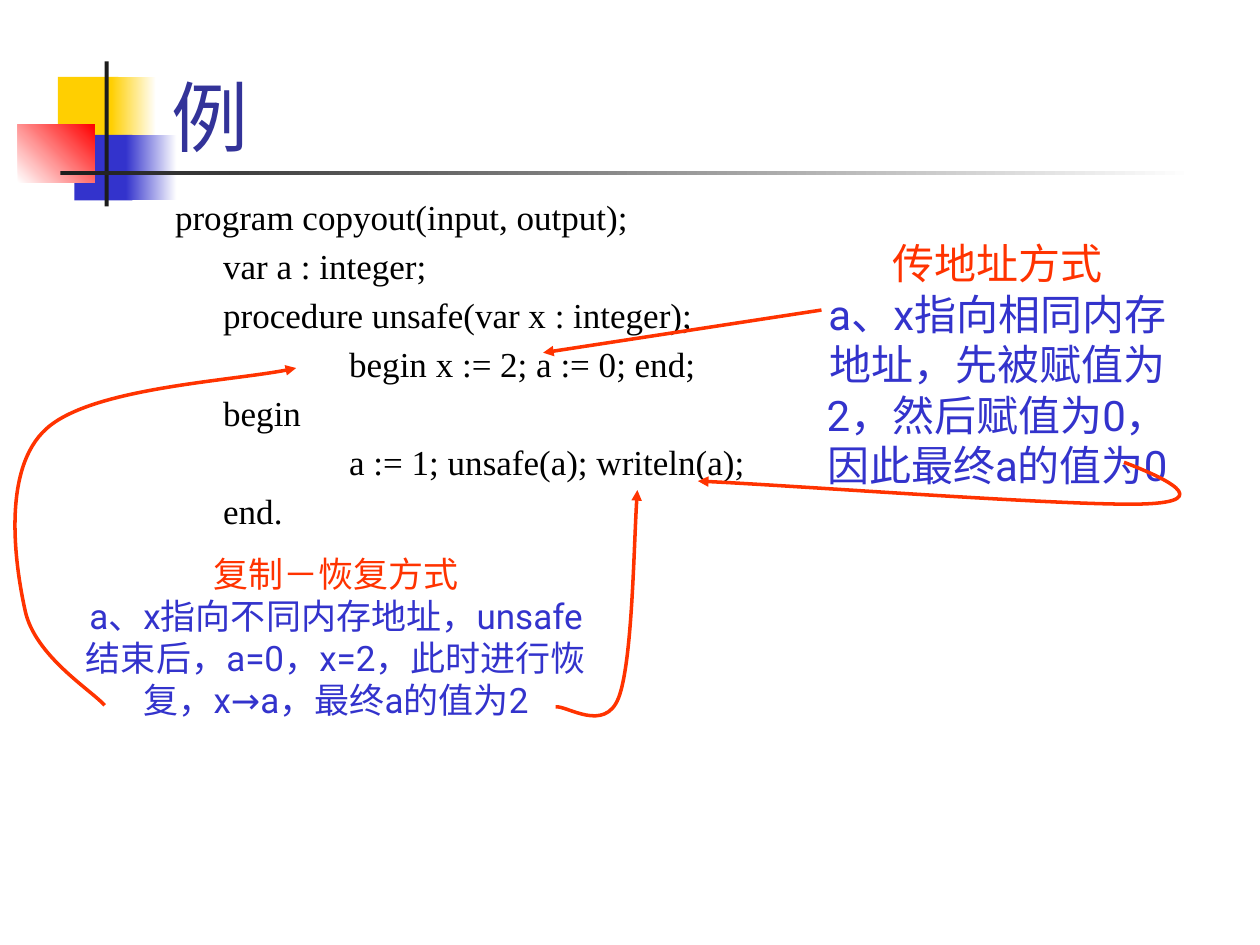
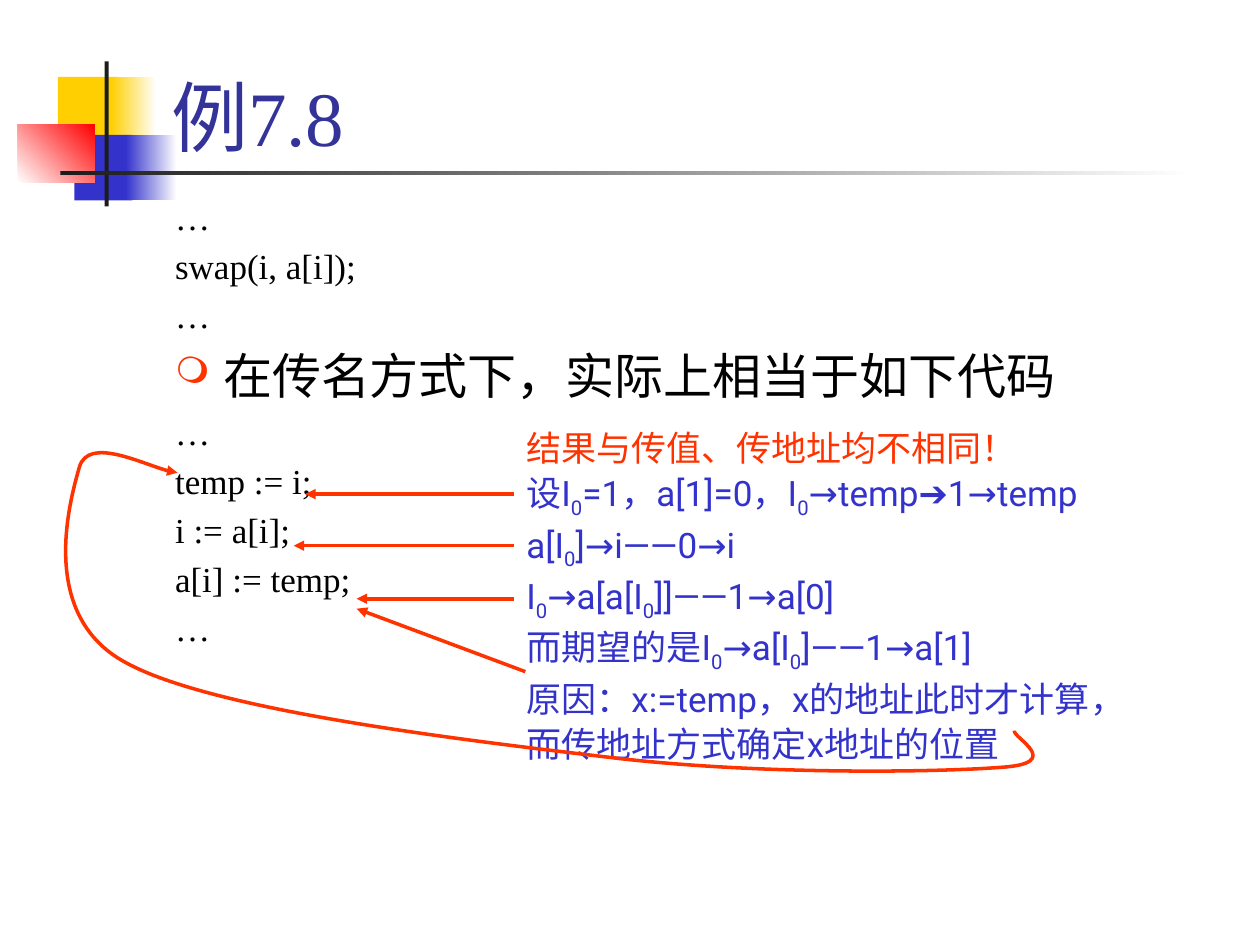
import pptx
import pptx.dml.color
import pptx.enum.shapes
import pptx.enum.text
import pptx.oxml.ns
import pptx.util
from lxml import etree

Cm, Pt = pptx.util.Cm, pptx.util.Pt
qn = pptx.oxml.ns.qn
ALIGN = pptx.enum.text.PP_ALIGN

YELLOW, BLUE, RED = "FFCF01", "3333CC", "FF0000"
WHITE, BLACK, DARK = "FFFFFF", "000000", "1C1C1C"
TITLE_BLUE, ORANGE = "333399", "FF3300"
SERIF, SANS = "Times New Roman", "Roboto"
CODE_INDENTS = [0, 0.97, 3.51]

CORNER = (0.36, 1.24)
TITLE_BOX = (3.2, 0.2, 21.64, 3.18)
BODY_BOX = (3.28, 3.81, 21.59, 13.13)


def color(value):
    return pptx.dml.color.RGBColor.from_string(value)


def style_font(font, size, name, value):
    font.size, font.name = Pt(size), name
    font.color.rgb = color(value)


def text_frame(page, box):
    frame = page.shapes.add_textbox(*map(Cm, box)).text_frame
    frame.word_wrap = True
    return frame


def add_paragraph(frame, index):
    return frame.add_paragraph() if index else frame.paragraphs[0]


# Corner squares and the two rules
def add_corner(page, left, top):
    parts = [
        (0.81, 0.31, 1.22, 1.32, [YELLOW], 0),
        (1.88, 0.31, 0.91, 1.32, [YELLOW, WHITE], 0),
        (1.14, 1.48, 1.17, 1.32, [BLUE], 0),
        (2.18, 1.48, 1.02, 1.32, [BLUE, WHITE], 0),
        (0, 1.27, 1.55, 1.17, [WHITE, RED], 45),
        (1.75, 0, 0.08, 2.92, [DARK], 0),
        (0.86, 2.21, 22.86, 0.08, [DARK, WHITE], 0),
    ]
    for x, y, width, height, colors, angle in parts:
        shape = page.shapes.add_shape(
            pptx.enum.shapes.MSO_SHAPE.RECTANGLE,
            Cm(left + x), Cm(top + y), Cm(width), Cm(height))
        shape.shadow.inherit = False
        shape.line.fill.background()
        if len(colors) == 1:
            shape.fill.solid()
            shape.fill.fore_color.rgb = color(colors[0])
            continue
        shape.fill.gradient()
        shape.fill.gradient_angle = angle
        for stop, value in zip(shape.fill.gradient_stops, colors):
            stop.color.rgb = color(value)


def add_title(page, box, title):
    frame = text_frame(page, box)
    frame.vertical_anchor = pptx.enum.text.MSO_ANCHOR.BOTTOM
    frame.text = title
    style_font(frame.paragraphs[0].font, 44, SERIF, TITLE_BLUE)


def add_bullet(properties):
    properties.set("indent", str(-Cm(CODE_INDENTS[1])))
    bullet_color = etree.SubElement(properties, qn("a:buClr"))
    etree.SubElement(bullet_color, qn("a:srgbClr"), val=ORANGE)
    etree.SubElement(properties, qn("a:buSzPct"), val="75000")
    etree.SubElement(properties, qn("a:buChar"), char="❍")


# Program text: each line is (indent level, text, bulleted)
def add_code(page, box, lines):
    frame = text_frame(page, box)
    for index, (level, text, bulleted) in enumerate(lines):
        para = add_paragraph(frame, index)
        para.text = text
        properties = para._p.get_or_add_pPr()
        properties.set("marL", str(Cm(CODE_INDENTS[level])))
        size = 28 if bulleted else 20
        if bulleted:
            add_bullet(properties)
        if index:
            para.space_before = Pt(size / 5)
        style_font(para.font, size, SERIF, BLACK)


# Note with an orange heading; "_" lowers the character after it
def add_note(page, box, lines, size, align, gap=0):
    frame = text_frame(page, box)
    for index, line in enumerate(lines):
        para = add_paragraph(frame, index)
        para.alignment = align
        if index:
            para.space_before = Pt(gap)
        style_font(para.font, size, SANS, BLUE if index else ORANGE)
        first, *lowered = line.split("_")
        para.add_run().text = first
        for piece in lowered:
            span = para.add_run()
            span.text = piece[0]
            span.font._element.set("baseline", "-25000")
            para.add_run().text = piece[1:]


def style_arrow(shape):
    shape.line.color.rgb = color(ORANGE)
    shape.line.width = Pt(2)
    etree.SubElement(shape.line._get_or_add_ln(), qn("a:tailEnd"), type="triangle")


def add_straight_arrow(page, start, end):
    arrow = page.shapes.add_connector(
        pptx.enum.shapes.MSO_CONNECTOR.STRAIGHT, *map(Cm, start + end))
    style_arrow(arrow)
    etree.SubElement(arrow._element.spPr, qn("a:effectLst"))


# Start point, then two control points and an end point for each bend
def add_curved_arrow(page, points):
    start, *rest = [(Cm(x), Cm(y)) for x, y in points]
    builder = page.shapes.build_freeform(*start)
    builder.add_line_segments(rest, close=False)
    arrow = builder.convert_to_shape()
    segments = list(arrow._element.iter(qn("a:lnTo")))
    for bend, second, third in zip(*[iter(segments)] * 3):
        bend.tag = qn("a:cubicBezTo")
        for segment in (second, third):
            bend.append(segment[0])
            segment.getparent().remove(segment)
    arrow.fill.background()
    arrow.shadow.inherit = False
    style_arrow(arrow)


def add_page(deck, title, code):
    page = deck.slides.add_slide(deck.slide_layouts[6])
    add_corner(page, *CORNER)
    add_title(page, TITLE_BOX, title)
    add_code(page, BODY_BOX, code)
    return page


def build_copyout_page(deck):
    page = add_page(deck, "例", [
        (0, "program copyout(input, output);", False),
        (1, "var a : integer;", False),
        (1, "procedure unsafe(var x : integer);", False),
        (2, "begin x := 2; a := 0; end;", False),
        (1, "begin", False),
        (2, "a := 1; unsafe(a); writeln(a);", False),
        (1, "end.", False),
    ])
    # Call by reference
    add_note(page, (16.08, 4.67, 8.05, 5.33), [
        "传地址方式",
        "a、x指向相同内存地址，先被赋值为2，然后赋值为0，因此最终a的值为0",
    ], 24, ALIGN.CENTER)
    add_straight_arrow(page, (16.56, 6.25), (10.95, 7.11))
    add_curved_arrow(page, [
        (22.66, 9.32), (23.47, 9.63), (24.51, 10.11), (23.06, 10.16),
        (21.64, 10.21), (15.95, 9.78), (14.07, 9.7)])
    # Copy and restore
    add_note(page, (1.48, 11.02, 10.59, 3.63), [
        "复制－恢复方式",
        "a、x指向不同内存地址，unsafe结束后，a=0，x=2，此时进行恢复，x→a，最终a的值为2",
    ], 20, ALIGN.CENTER)
    add_curved_arrow(page, [
        (2.11, 14.22), (1.85, 13.92), (0.71, 13.23), (0.51, 12.32),
        (0.3, 11.38), (0.03, 9.45), (0.94, 8.64),
        (1.85, 7.82), (4.93, 7.67), (5.97, 7.42)])
    add_curved_arrow(page, [
        (11.2, 14.25), (11.43, 14.22), (12.19, 14.78), (12.47, 14.07),
        (12.75, 13.34), (12.78, 10.74), (12.85, 9.88)])


def build_swap_page(deck):
    page = add_page(deck, "例7.8", [
        (0, "…", False),
        (0, "swap(i, a[i]);", False),
        (0, "…", False),
        (1, "在传名方式下，实际上相当于如下代码", True),
        (0, "…", False),
        (0, "temp := i;", False),
        (0, "i := a[i];", False),
        (0, "a[i] := temp;", False),
        (0, "…", False),
    ])
    # Call by name, step by step
    add_note(page, (10.36, 8.47, 15.24, 6.68), [
        "结果与传值、传地址均不相同！",
        "设I_0=1，a[1]=0，I_0→temp➔1→temp",
        "a[I_0]→i——0→i",
        "I_0→a[a[I_0]]——1→a[0]",
        "而期望的是I_0→a[I_0]——1→a[1]",
        "原因：x:=temp，x的地址此时才计算，",
        "而传地址方式确定x地址的位置",
    ], 20, ALIGN.LEFT, gap=2)
    for y, tip in [(9.96, 6.15), (11, 5.92), (12.07, 7.19)]:
        add_straight_arrow(page, (10.36, y), (tip, y))
    add_straight_arrow(page, (10.59, 13.54), (7.19, 12.27))
    add_curved_arrow(page, [
        (20.45, 14.73), (20.4, 14.86), (21.49, 15.39), (20.17, 15.47),
        (18.85, 15.57), (15.39, 15.62), (12.47, 15.29),
        (9.53, 14.94), (4.34, 14.35), (2.54, 13.36),
        (0.74, 12.4), (1.42, 10.06), (1.6, 9.42),
        (1.78, 8.79), (3.17, 9.5), (3.58, 9.53)])


def main():
    deck = pptx.Presentation()
    deck.slide_width, deck.slide_height = Cm(25.4), Cm(19.05)
    build_copyout_page(deck)
    build_swap_page(deck)
    deck.save("out.pptx")


if __name__ == "__main__":
    main()
